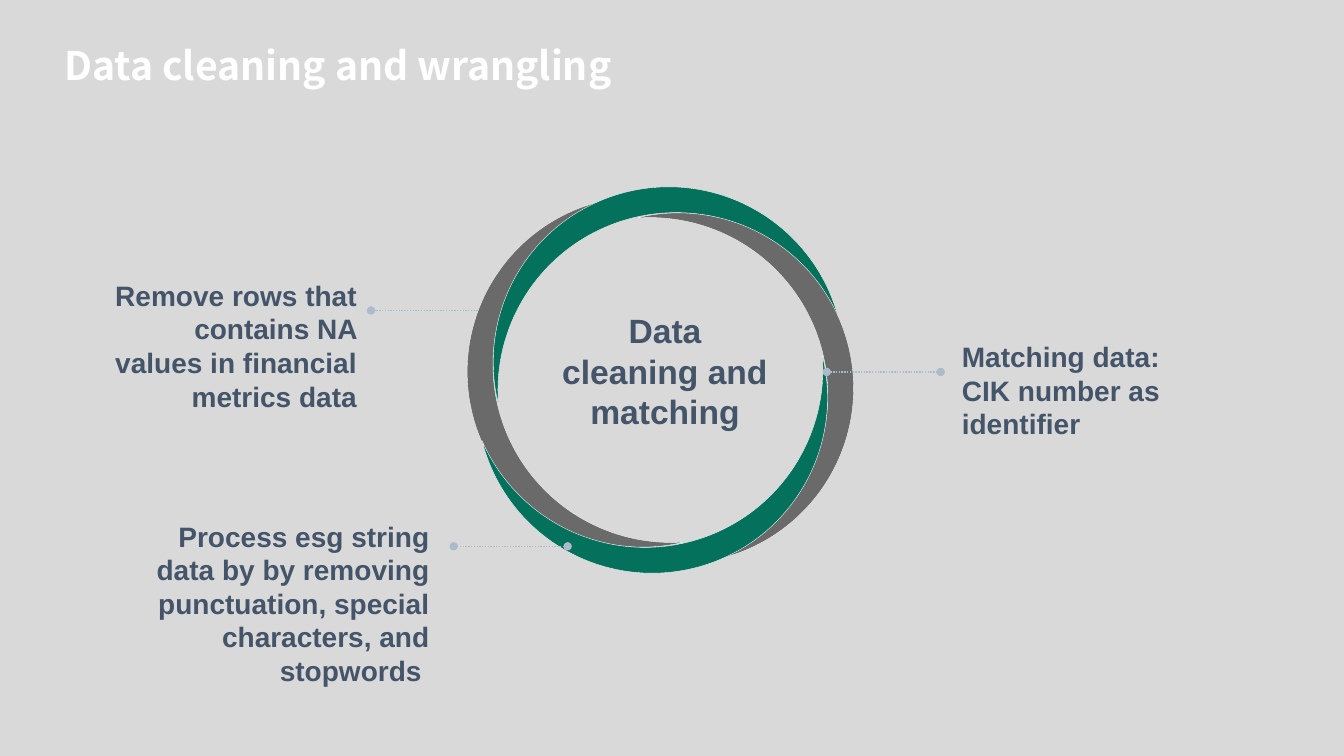
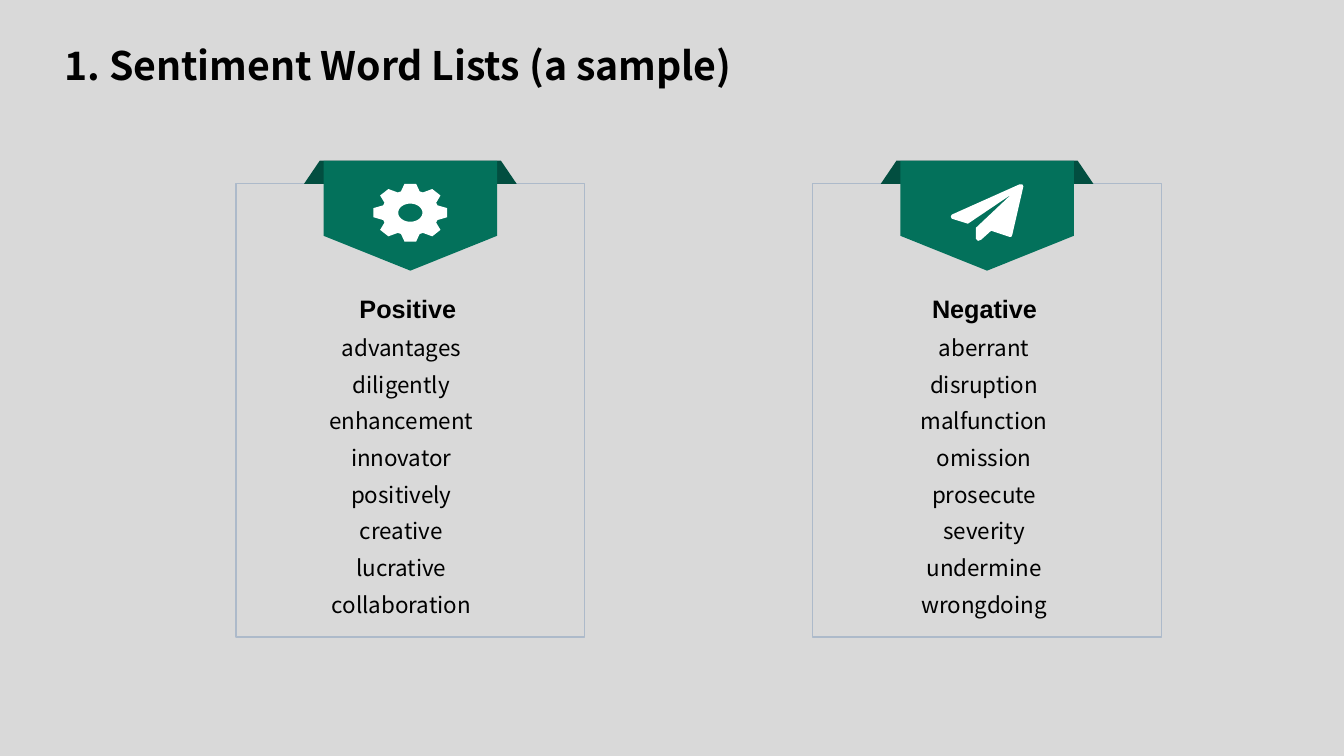
"""Build two slides on data cleaning and sentiment word lists."""
from math import cos, radians, sin

from pptx import Presentation
from pptx.dml.color import RGBColor
from pptx.enum.dml import MSO_LINE
from pptx.enum.shapes import MSO_CONNECTOR, MSO_SHAPE as SHAPE
from pptx.enum.text import PP_ALIGN as ALIGN
from pptx.oxml.ns import qn
from pptx.util import Inches, Pt
from lxml.etree import SubElement

BACKGROUND = RGBColor(0xD9, 0xD9, 0xD9)
WHITE = RGBColor(0xFF, 0xFF, 0xFF)
BLACK = RGBColor(0, 0, 0)
GREEN = RGBColor(0x03, 0x71, 0x5B)
DARK_GREEN = RGBColor(0x02, 0x4E, 0x40)
GRAY = RGBColor(0x6A, 0x6A, 0x6A)
EDGE = RGBColor(0xF8, 0xF8, 0xF8)
SLATE = RGBColor(0x44, 0x54, 0x69)
RULE = RGBColor(0xAD, 0xBA, 0xCA)
HEAD_FONT, BODY_FONT = "Arial", "Noto Sans CJK SC"

CLEANING_TITLE = "Data cleaning and wrangling"
RING_LABEL = "Data cleaning and matching"
CALLOUTS = [
    {"text": "Remove rows that contains NA values in financial metrics data",
     "box": (1.04, 2.76, 2.5, 1.67), "align": ALIGN.RIGHT,
     "line": (4.83, 3.68, 3.08), "under_ring": True},
    {"text": "Process esg string data by by removing punctuation, "
             "special characters, and stopwords ",
     "box": (1.46, 5.15, 2.8, 1.68), "align": ALIGN.RIGHT,
     "line": (5.63, 4.5, 5.42), "under_ring": False},
    {"text": "Matching data: CIK number as identifier",
     "box": (9.54, 3.37, 2.14, 1.33), "align": ALIGN.LEFT,
     "line": (8.2, 9.33, 3.69), "under_ring": False},
]
RING_CENTER = (6.55, 3.77)
MOON_OFFSET = (-1.02, 0.13)
MOON_SIZE = (1.74, 3.48)
MOON_TURN = 345.9

LISTS_TITLE = "1. Sentiment Word Lists (a sample)"
CARDS = [
    {"heading": "Positive", "left": 2.34, "words_left": 2.82, "icon": "gear",
     "words": ["advantages", "diligently", "enhancement", "innovator",
               "positively", "creative", "lucrative", "collaboration"]},
    {"heading": "Negative", "left": 8.06, "words_left": 8.6, "icon": "plane",
     "words": ["aberrant", "disruption", "malfunction", "omission",
               "prosecute", "severity", "undermine", "wrongdoing"]},
]
CARD_TOP, CARD_W, CARD_H = 1.82, 3.46, 4.5
PLANE = [(0.72, 0.02), (0.61, 0.5), (0.6, 0.52), (0.58, 0.52), (0.4, 0.46),
         (0.3, 0.55), (0.27, 0.56), (0.25, 0.54), (0.25, 0.43), (0.6, 0.1),
         (0.17, 0.39), (0.01, 0.34), (0, 0.32), (0.01, 0.3), (0.68, 0),
         (0.71, 0)]


def add_slide(prs, title, color):
    s = prs.slides.add_slide(prs.slide_layouts[6])
    s.background.fill.solid()
    s.background.fill.fore_color.rgb = BACKGROUND
    add_text(s, (0.54, 0.36, 8.86, 0.57), [title], 28, color, BODY_FONT,
             inset=True)
    return s


def add_text(s, box, lines, size, color, font=HEAD_FONT, bold=True,
             align=ALIGN.LEFT, inset=False, spacing=None):
    tf = s.shapes.add_textbox(*map(Inches, box)).text_frame
    tf.word_wrap = True
    if not inset:
        tf.margin_left = tf.margin_right = tf.margin_top = tf.margin_bottom = 0
    for i, line in enumerate(lines):
        p = tf.add_paragraph() if i else tf.paragraphs[0]
        p.text = line
        p.alignment = align
        p.line_spacing = spacing
        if i:
            p.space_before = Pt(size * 0.2)
        p.font.name, p.font.size, p.font.bold = font, Pt(size), bold
        p.font.color.rgb = color


def paint(sp, fill=None, line=None, width=1):
    sp.shadow.inherit = False
    if fill is None:
        sp.fill.background()
    else:
        sp.fill.solid()
        sp.fill.fore_color.rgb = fill
    if line is None:
        sp.line.fill.background()
    else:
        sp.line.color.rgb = line
        sp.line.width = Pt(width)


def add_shape(s, kind, center, size, fill=None, line=None, width=1,
              turn=0, adjust=None):
    (cx, cy), (w, h) = center, size
    sp = s.shapes.add_shape(kind, Inches(cx - w / 2), Inches(cy - h / 2),
                            Inches(w), Inches(h))
    sp.rotation = turn
    if adjust is not None:
        sp.adjustments[0] = adjust
    paint(sp, fill, line, width)


def add_leader(s, x1, x2, y):
    c = s.shapes.add_connector(MSO_CONNECTOR.STRAIGHT, Inches(x1), Inches(y),
                               Inches(x2), Inches(y))
    c.line.color.rgb = RULE
    c.line.width = Pt(1)
    c.line.dash_style = MSO_LINE.ROUND_DOT
    spPr = c._element.spPr
    ln = spPr.find(qn("a:ln"))
    for end in ("a:headEnd", "a:tailEnd"):
        SubElement(ln, qn(end), type="oval")
    SubElement(spPr, qn("a:effectLst"))


def add_outline(s, contours, fill):
    points = [[(Inches(x), Inches(y)) for x, y in c] for c in contours]
    builder = s.shapes.build_freeform(*points[0][0])
    builder.add_line_segments(points[0][1:])
    for contour in points[1:]:
        builder.move_to(*contour[0])
        builder.add_line_segments(contour[1:])
    paint(builder.convert_to_shape(), fill)


def polar(cx, cy, rx, ry, degrees):
    return cx + rx * cos(radians(degrees)), cy + ry * sin(radians(degrees))


def gear_contours(cx, cy):
    rx, ry = 0.37, 0.29
    corners = [(-19, 0.77), (-9, 1), (9, 1), (19, 0.77)]
    rim = [polar(cx, cy, rx * r, ry * r, tooth + a)
           for tooth in range(0, 360, 45) for a, r in corners]
    hole = [polar(cx, cy, 0.12, 0.09, -a) for a in range(0, 360, 10)]
    return [rim, hole]


def add_ring(s):
    dx, dy = MOON_OFFSET
    for i in range(4):
        center = (RING_CENTER[0] + dx, RING_CENTER[1] + dy)
        add_shape(s, SHAPE.MOON, center, MOON_SIZE, (GRAY, GREEN)[i % 2],
                  EDGE, 0.25, (MOON_TURN + 90 * i) % 360, 0.152)
        dx, dy = -dy, dx
    add_text(s, (5.44, 3.03, 2.31, 1.31), [RING_LABEL], 24, SLATE,
             align=ALIGN.CENTER, inset=True)


def add_card(s, card):
    left = card["left"]
    cx = left + CARD_W / 2
    add_shape(s, SHAPE.RECTANGLE, (cx, CARD_TOP + CARD_H / 2),
              (CARD_W, CARD_H), line=RULE)
    add_shape(s, SHAPE.TRAPEZOID, (cx, 1.71), (2.11, 0.23), DARK_GREEN,
              adjust=0.679)
    add_shape(s, SHAPE.PENTAGON, (cx, 2.14), (1.09, 1.72), GREEN, turn=90,
              adjust=0.317)
    if card["icon"] == "gear":
        contours = gear_contours(cx, 2.11)
    else:
        contours = [[(cx - 0.36 + x, 1.83 + y) for x, y in PLANE]]
    add_outline(s, contours, WHITE)
    add_text(s, (card["words_left"], 3.26, 2.32, 2.95), card["words"], 16,
             BLACK, BODY_FONT, False, ALIGN.CENTER, spacing=1.2)
    add_text(s, (left + 0.54, 2.91, 2.33, 0.3), [card["heading"]], 18, BLACK,
             align=ALIGN.CENTER)


def main():
    prs = Presentation()
    prs.slide_width, prs.slide_height = Inches(13.33), Inches(7.5)

    s = add_slide(prs, CLEANING_TITLE, WHITE)
    for callout in CALLOUTS:
        if callout["under_ring"]:
            add_leader(s, *callout["line"])
        add_text(s, callout["box"], [callout["text"]], 20, SLATE,
                 align=callout["align"])
    add_ring(s)
    for callout in CALLOUTS:
        if not callout["under_ring"]:
            add_leader(s, *callout["line"])

    s = add_slide(prs, LISTS_TITLE, BLACK)
    for card in CARDS:
        add_card(s, card)

    prs.save("out.pptx")


if __name__ == "__main__":
    main()
